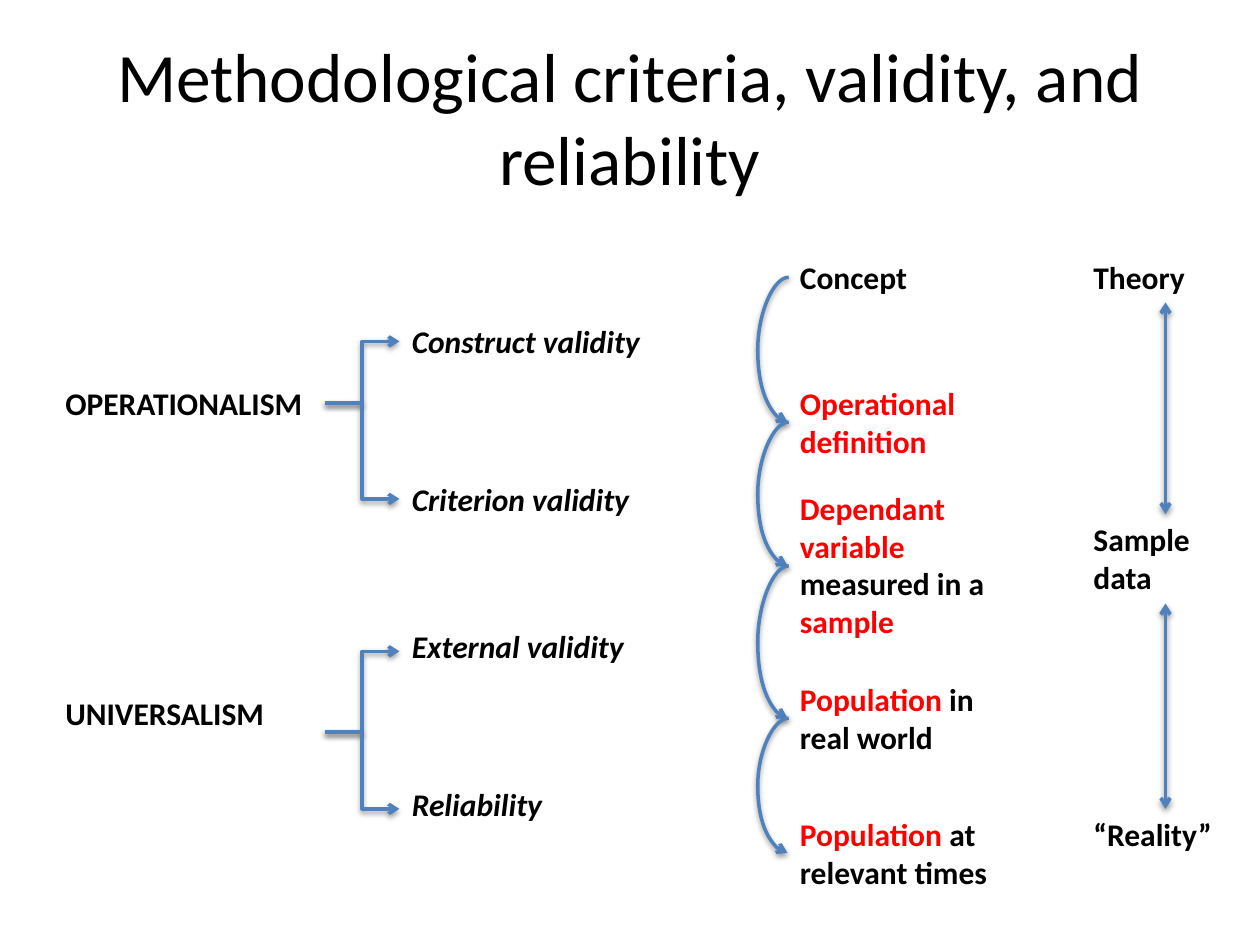
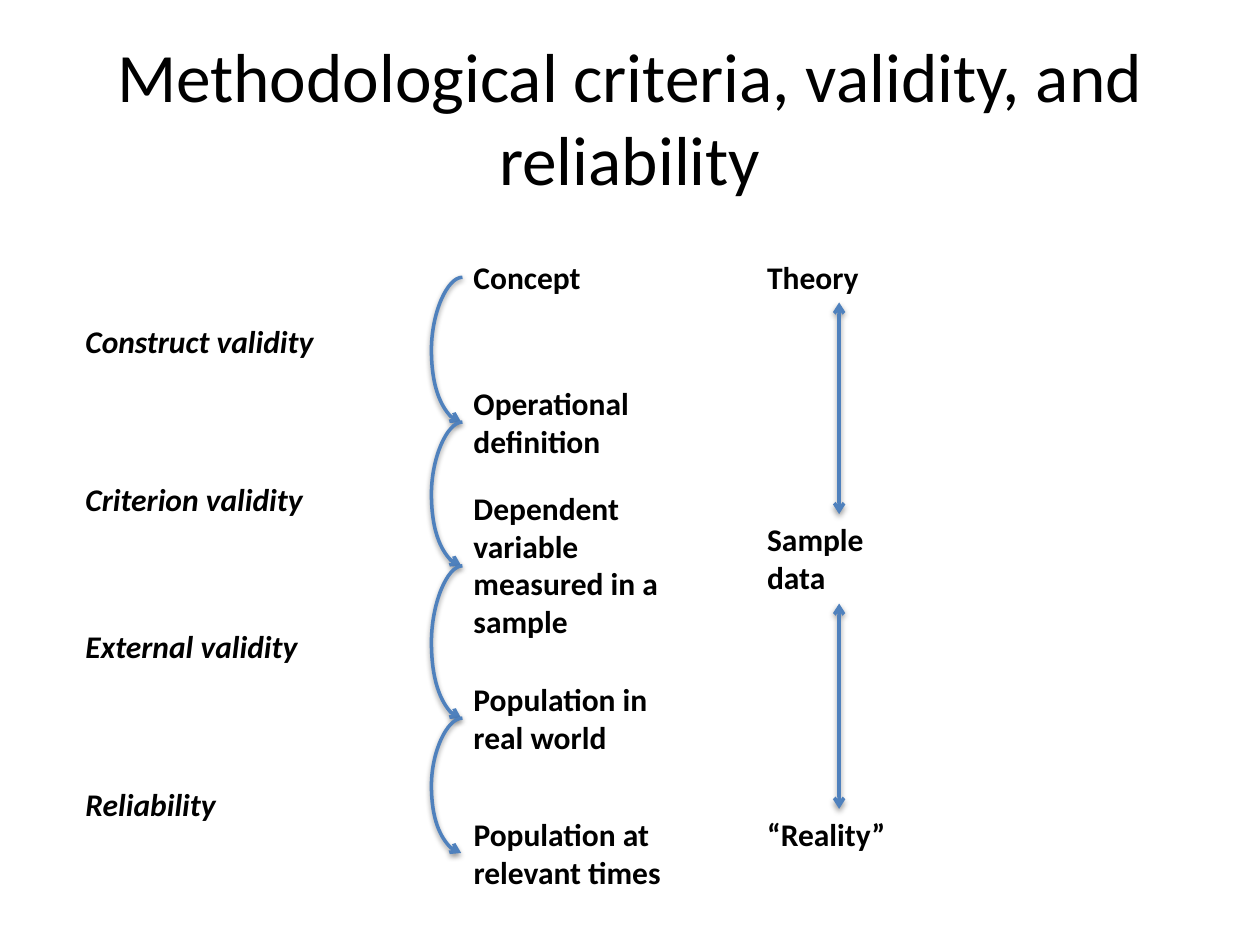
"""Build two slides on methodological criteria, validity and reliability."""
from dataclasses import dataclass
from itertools import pairwise

from lxml import etree
from pptx import Presentation
from pptx import util as u
from pptx.dml.color import RGBColor
from pptx.enum import shapes, text
from pptx.oxml import ns


@dataclass(frozen=True)
class Theme:
    font: str = "Calibri"
    ink: str = "000000"
    accent: str = "FF0000"
    line: str = "4F81BD"
    paper: str = "FFFFFF"
    title_size: float = 39.6
    label_size: float = 18
    line_width: float = 2


THEME = Theme()
TITLE = "Methodological criteria, validity, and reliability"
STAGE_BOXES = [(2, 1.33, 0.4), (3, 1.67, 0.71), (3.83, 2, 1.31),
               (5.35, 2, 0.71), (6.42, 2.25, 0.71)]
MARKED_STAGES = ["Concept", "*Operational definition*",
                 "*Dependant variable* measured in a *sample*",
                 "*Population* in real world", "*Population* at relevant times"]
PLAIN_STAGES = ["Concept", "Operational definition",
                "Dependent variable measured in a sample",
                "Population in real world", "Population at relevant times"]
CURVE_STOPS = [2.2, 3.35, 4.49, 5.7, 6.77]
CRITERIA = {"Construct validity": 2.51, "Criterion validity": 3.76,
            "External validity": 4.93, "Reliability": 6.18}
LEVELS = [("Theory", 2, 0.4), ("Sample\ndata", 4.08, 0.71), ("“Reality”", 6.42, 0.4)]
APPROACHES = [("OPERATIONALISM", 3, 3.2, (2.71, 3.96)),
              ("UNIVERSALISM", 5.46, 5.81, (5.17, 6.42))]


def write(tf, words, size=THEME.label_size, bold=True, italic=False,
          align=text.PP_ALIGN.LEFT):
    """Fill a text frame; parts between asterisks take the accent colour."""
    for i, row in enumerate(words.split("\n")):
        p = tf.add_paragraph() if i else tf.paragraphs[0]
        p.alignment = align
        for j, part in enumerate(row.split("*")):
            if part:
                r = p.add_run()
                r.text = part
                r.font.name, r.font.size = THEME.font, u.Pt(size)
                r.font.bold, r.font.italic = bold, italic
                r.font.color.rgb = RGBColor.from_string(THEME.accent if j % 2 else THEME.ink)


class Deck:
    """Hold the theme, the presentation and the current slide."""

    def __init__(self, theme):
        self.theme = theme
        self.prs = Presentation()
        self.prs.slide_width, self.prs.slide_height = u.Inches(10), u.Inches(7.5)
        self.s = None

    def slide(self, title):
        self.s = self.prs.slides.add_slide(self.prs.slide_layouts[6])
        fill = self.s.background.fill
        fill.solid()
        fill.fore_color.rgb = RGBColor.from_string(self.theme.paper)
        tf = self.box(0.5, 0.3, 9, 1.25)
        tf.vertical_anchor = text.MSO_ANCHOR.MIDDLE
        write(tf, title, size=self.theme.title_size, bold=False, align=text.PP_ALIGN.CENTER)

    def box(self, *at):
        tf = self.s.shapes.add_textbox(*map(u.Inches, at)).text_frame
        tf.word_wrap = True
        return tf

    def label(self, words, *at, **style):
        tf = self.box(*at)
        tf.auto_size = text.MSO_AUTO_SIZE.SHAPE_TO_FIT_TEXT
        write(tf, words, **style)

    def arrow(self, *ends, kind=shapes.MSO_CONNECTOR.STRAIGHT, double=False):
        c = self.s.shapes.add_connector(kind, *map(u.Inches, ends))
        c.line.color.rgb = RGBColor.from_string(self.theme.line)
        c.line.width = u.Pt(self.theme.line_width)
        ln = c.line._get_or_add_ln()
        for tip in ("headEnd", "tailEnd") if double else ("tailEnd",):
            etree.SubElement(ln, ns.qn(f"a:{tip}"), type="arrow")
        effects = etree.SubElement(c._element.spPr, ns.qn("a:effectLst"))
        shadow = etree.SubElement(effects, ns.qn("a:outerShdw"), blurRad="40000",
                                  dist="20000", dir="5400000", rotWithShape="0")
        color = etree.SubElement(shadow, ns.qn("a:srgbClr"), val=self.theme.ink)
        etree.SubElement(color, ns.qn("a:alpha"), val="38000")
        return c

    def curve(self, x, top, bottom, bulge=0.25, width=0.01):
        c = self.arrow(x, bottom, x + width, top, kind=shapes.MSO_CONNECTOR.CURVE)
        sp = c._element.spPr
        sp.find(ns.qn("a:xfrm")).set("rot", "10800000")
        guides = sp.find(ns.qn("a:prstGeom")).get_or_add_avLst()
        etree.SubElement(guides, ns.qn("a:gd"), name="adj1",
                         fmla=f"val {round(bulge / width * 100000)}")


def draw_model(deck, left, stages):
    """Draw criteria, stages and levels with the criteria column at left."""
    stage_x, level_x = left + 3.08, left + 5.41
    for words, (top, width, height) in zip(stages, STAGE_BOXES):
        deck.label(words, stage_x, top, width, height)
    for top, bottom in pairwise(CURVE_STOPS):
        deck.curve(stage_x, top, bottom)
    for words, top in CRITERIA.items():
        deck.label(words, left, top, 2.58, 0.4, italic=True)
    for words, top, height in LEVELS:
        deck.label(words, level_x, top, 1.33, height)
    for (_, top, height), (_, bottom, _) in pairwise(LEVELS):
        deck.arrow(level_x + 0.67, top + height, level_x + 0.67, bottom, double=True)


def draw_approaches(deck, left, criteria_x):
    """Draw the two approaches and their branches to the criteria."""
    for words, top, start, targets in APPROACHES:
        deck.label(words, left, top, 2.17, 0.4)
        for target in targets:
            deck.arrow(2.58, start, criteria_x, target, kind=shapes.MSO_CONNECTOR.ELBOW)


def main():
    deck = Deck(THEME)
    deck.slide(TITLE)
    draw_model(deck, 3.17, MARKED_STAGES)
    draw_approaches(deck, 0.42, 3.17)
    deck.slide(TITLE)
    draw_model(deck, 0.58, PLAIN_STAGES)
    deck.prs.save("out.pptx")


if __name__ == "__main__":
    main()
